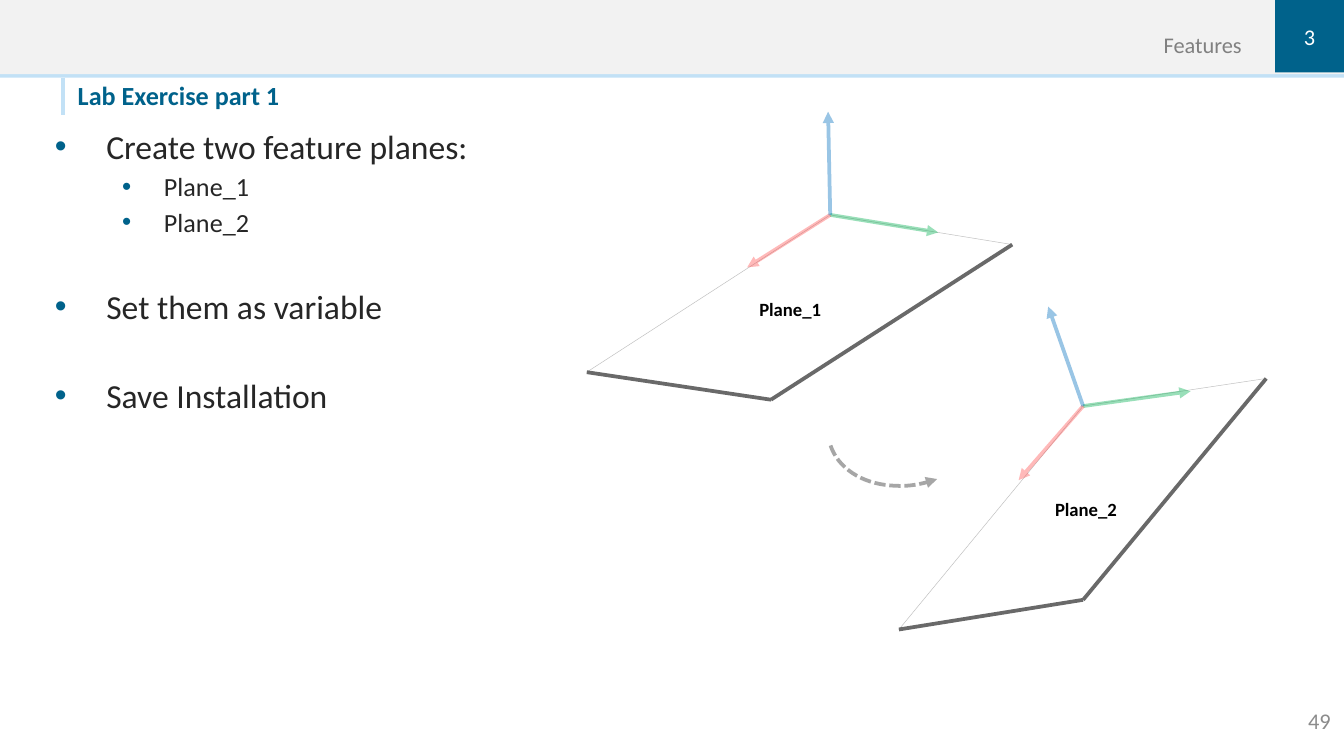
from lxml import etree
from pptx import Presentation
from pptx import util as u
from pptx.dml.color import RGBColor
from pptx.enum import dml, shapes, text
from pptx.oxml.ns import qn

NAVY = RGBColor(0x00, 0x62, 0x8B)
SKY = RGBColor(0xC2, 0xE1, 0xF6)
PALE = RGBColor(0xF2, 0xF2, 0xF2)
WHITE = RGBColor(0xFF, 0xFF, 0xFF)
BLACK = RGBColor(0x00, 0x00, 0x00)
INK = RGBColor(0x26, 0x26, 0x26)
LABEL_GRAY = RGBColor(0x80, 0x80, 0x80)
NUMBER_GRAY = RGBColor(0x8C, 0x8C, 0x8C)
ARC_GRAY = RGBColor(0xA6, 0xA6, 0xA6)
EDGE_GRAY = RGBColor(0x69, 0x69, 0x69)
HAIR_GRAY = RGBColor(0xBF, 0xBF, 0xBF)
GREEN = RGBColor(0x00, 0xB0, 0x50)
RED = RGBColor(0xFF, 0x50, 0x50)
BLUE = RGBColor(0x00, 0x70, 0xC0)

LEFT, CENTER, RIGHT = text.PP_ALIGN.LEFT, text.PP_ALIGN.CENTER, text.PP_ALIGN.RIGHT
TOP, MIDDLE, BOTTOM = text.MSO_ANCHOR.TOP, text.MSO_ANCHOR.MIDDLE, text.MSO_ANCHOR.BOTTOM
NORMAL_INSETS = (0.25, 0.13, 0.25, 0.13)
NO_INSETS = (0, 0, 0, 0)


def place(frame):
    return [u.Cm(value) for value in frame]


def add_span(para, words, size, color, bold=False):
    span = para.add_run()
    span.text = words
    span.font.name = "Calibri"
    span.font.size = u.Pt(size)
    span.font.bold = bold
    span.font.color.rgb = color


def prepare_frame(shape, anchor, insets):
    frame = shape.text_frame
    frame.word_wrap = True
    frame.vertical_anchor = anchor
    (frame.margin_left, frame.margin_top,
     frame.margin_right, frame.margin_bottom) = place(insets)
    return frame


def write(shape, words, size, color, bold=False, align=LEFT, anchor=TOP, insets=NORMAL_INSETS):
    para = prepare_frame(shape, anchor, insets).paragraphs[0]
    para.alignment = align
    add_span(para, words, size, color, bold)


def add_label(page, frame, words, size, color, **style):
    write(page.shapes.add_textbox(*place(frame)), words, size, color, **style)


def add_block(page, frame, color):
    block = page.shapes.add_shape(shapes.MSO_SHAPE.RECTANGLE, *place(frame))
    block.shadow.inherit = False
    block.fill.solid()
    block.fill.fore_color.rgb = color
    block.line.fill.background()
    return block


def add_arrowhead(line):
    etree.SubElement(line._get_or_add_ln(), qn("a:tailEnd"), type="triangle")


def add_line(page, start, end, color, width):
    line = page.shapes.add_connector(shapes.MSO_CONNECTOR.STRAIGHT, *place(start + end))
    line.line.color.rgb = color
    line.line.width = u.Pt(width)
    etree.SubElement(line._element.spPr, qn("a:effectLst"))
    return line


def add_axis(page, start, end, color):
    axis = add_line(page, start, end, color, 2)
    tint = axis._element.spPr.find(".//" + qn("a:srgbClr"))
    etree.SubElement(tint, qn("a:alpha"), val="40000")
    add_arrowhead(axis.line)


def add_plane(page, corners, tips):
    origin, right, front, left = corners
    points = [(u.Cm(x), u.Cm(y)) for x, y in corners]
    builder = page.shapes.build_freeform(*points[0])
    builder.add_line_segments(points[1:], close=True)
    plane = builder.convert_to_shape()
    plane.shadow.inherit = False
    plane.fill.solid()
    plane.fill.fore_color.rgb = WHITE
    plane.line.color.rgb = HAIR_GRAY
    plane.line.width = u.Pt(0.25)
    for corner in (left, right):
        add_line(page, corner, front, EDGE_GRAY, 2)
    for tip, color in zip(tips, (GREEN, RED, BLUE)):
        add_axis(page, origin, tip, color)


def add_turn_arrow(page):
    arc = page.shapes.add_shape(shapes.MSO_SHAPE.ARC, *place((16.03, 6.22, 2.49, 3.33)))
    arc.shadow.inherit = False
    arc.adjustments[0] = 162
    arc.adjustments[1] = 1.17
    arc.rotation = 251.4
    arc._element.spPr.find(qn("a:xfrm")).set("flipH", "1")
    arc.fill.background()
    arc.line.color.rgb = ARC_GRAY
    arc.line.width = u.Pt(2)
    arc.line.dash_style = dml.MSO_LINE.SQUARE_DOT
    add_arrowhead(arc.line)


def add_bullet(para, margin, hang):
    props = para._p.get_or_add_pPr()
    props.set("marL", str(u.Cm(margin)))
    props.set("indent", str(u.Cm(-hang)))
    color = etree.SubElement(props, qn("a:buClr"))
    etree.SubElement(color, qn("a:srgbClr"), val=str(NAVY))
    etree.SubElement(props, qn("a:buFont"), typeface="Arial")
    etree.SubElement(props, qn("a:buChar"), char="•")


def add_steps(page, frame, steps):
    box = page.shapes.add_textbox(*place(frame))
    body = prepare_frame(box, TOP, NORMAL_INSETS)
    for index, (level, words) in enumerate(steps):
        para = body.add_paragraph() if index else body.paragraphs[0]
        para.level = level
        size, margin, hang, gap = (14, 2.06, 0.79, 2.4) if level else (18, 0.97, 0.97, 26)
        para.space_before = u.Pt(gap if index else 0)
        add_bullet(para, margin, hang)
        add_span(para, words, size, INK)


def add_header(page):
    add_block(page, (0, 0, 25.4, 1.47), SKY)
    add_block(page, (0, 0, 25.4, 1.4), PALE)
    add_line(page, (1.19, 1.47), (1.19, 2.18), SKY, 2.5)
    add_label(page, (1.47, 1.5, 11.2, 0.71), "Lab Exercise part 1", 14, NAVY,
              bold=True, insets=(0, 0, 0, 0.1))
    add_label(page, (12.7, 0, 10.77, 1.09), "Features", 12, LABEL_GRAY,
              align=RIGHT, anchor=BOTTOM, insets=NO_INSETS)
    chapter = add_block(page, (24.1, 0, 1.3, 1.37), NAVY)
    write(chapter, "3", 12, WHITE, align=CENTER, anchor=MIDDLE, insets=NO_INSETS)


def main():
    deck = Presentation()
    deck.slide_width, deck.slide_height = u.Cm(25.4), u.Cm(14.28)
    page = deck.slides.add_slide(deck.slide_layouts[6])
    add_header(page)
    add_steps(page, (0.79, 2.24, 10, 6.5), [
        (0, "Create two feature planes:"),
        (1, "Plane_1"),
        (1, "Plane_2"),
        (0, "Set them as variable"),
        (0, "Save Installation"),
    ])
    add_plane(page, [(15.69, 4.06), (19.13, 4.62), (14.57, 7.55), (11.09, 7.03)],
              [(17.73, 4.39), (14.12, 5.05), (15.65, 2.11)])
    add_plane(page, [(20.47, 7.67), (23.93, 7.15), (20.47, 11.33), (16.99, 11.89)],
              [(22.5, 7.39), (19.25, 9.07), (19.81, 5.79)])
    add_label(page, (14.1, 5.49, 2.18, 0.69), "Plane_1", 10, BLACK, bold=True)
    add_label(page, (19.69, 9.27, 2.18, 0.69), "Plane_2", 10, BLACK, bold=True)
    add_turn_arrow(page)
    add_label(page, (22.86, 13.23, 2.54, 0.76), "49", 12, NUMBER_GRAY, align=RIGHT, anchor=MIDDLE)
    deck.save("out.pptx")


if __name__ == "__main__":
    main()
